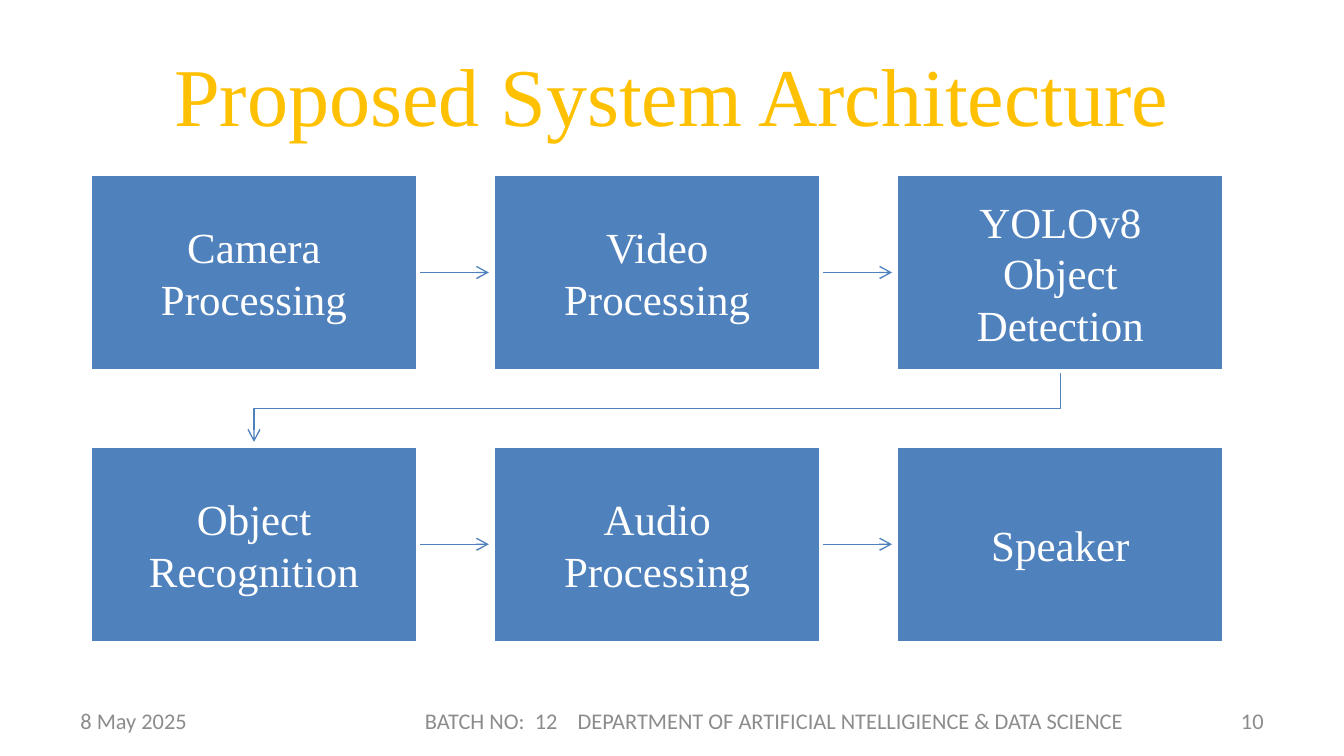
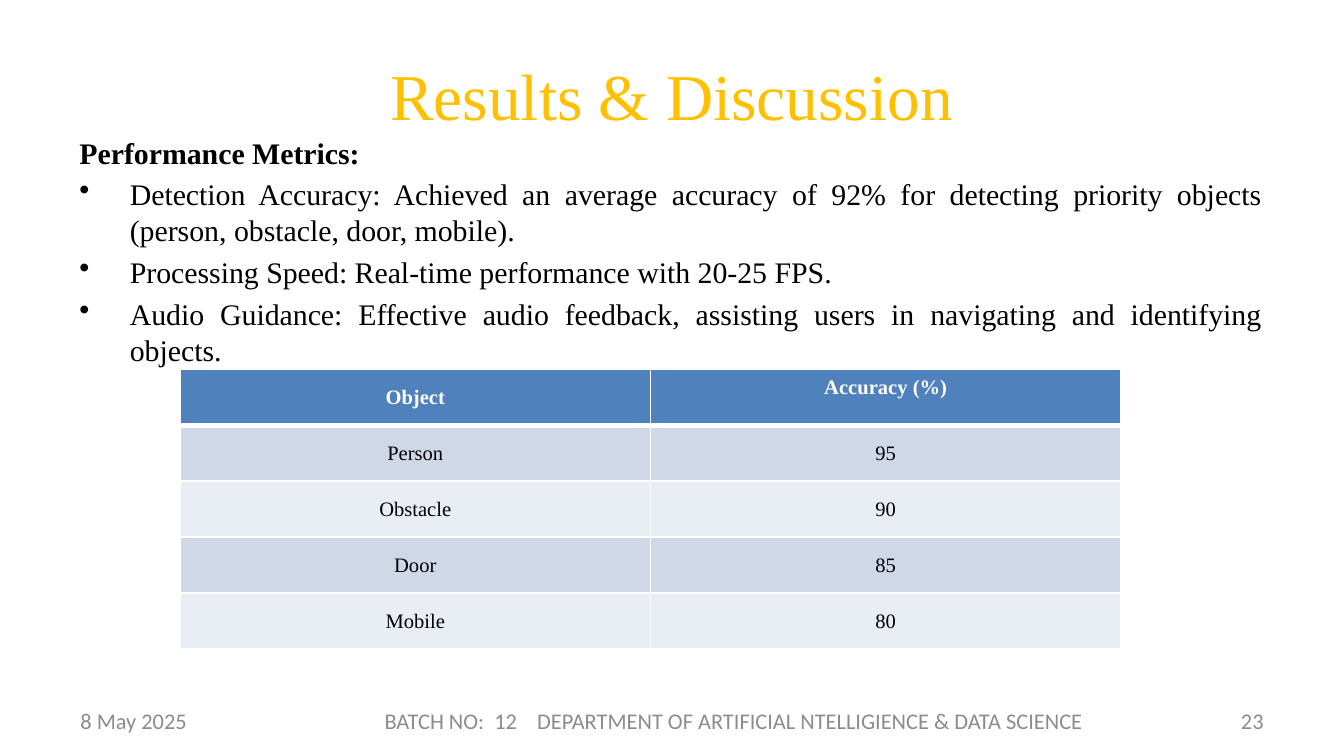
"""Builds two project slides: the system architecture flow and the results table."""
from lxml import etree
from pptx import Presentation
from pptx.dml.color import RGBColor
from pptx.enum.shapes import MSO_CONNECTOR, MSO_SHAPE
from pptx.enum.text import MSO_ANCHOR, PP_ALIGN
from pptx.oxml.ns import qn
from pptx.util import Pt

LEFT, CENTER, RIGHT, JUSTIFY = PP_ALIGN.LEFT, PP_ALIGN.CENTER, PP_ALIGN.RIGHT, PP_ALIGN.JUSTIFY
TOP, MIDDLE = MSO_ANCHOR.TOP, MSO_ANCHOR.MIDDLE
RECTANGLE, STRAIGHT = MSO_SHAPE.RECTANGLE, MSO_CONNECTOR.STRAIGHT

SERIF, SANS = "Times New Roman", "Calibri"
GOLD, BLUE, GRAY, WHITE, BLACK = "FFC000", "4F81BD", "8C8C8C", "FFFFFF", "000000"
BAND_DARK, BAND_LIGHT = "D0D8E8", "E9EDF4"
DEPARTMENT = "BATCH NO:  12    DEPARTMENT OF ARTIFICIAL NTELLIGIENCE & DATA SCIENCE "
color = RGBColor.from_string


def write(frame, texts, font, size, ink, align, anchor=MIDDLE, bold=False):
    """Fill a text frame with one uniformly styled paragraph per text."""
    frame.word_wrap = True
    frame.vertical_anchor = anchor
    for index, text in enumerate(texts):
        paragraph = frame.add_paragraph() if index else frame.paragraphs[0]
        paragraph.text = text
        paragraph.alignment = align
        paragraph.font.name = font
        paragraph.font.size = Pt(size)
        paragraph.font.bold = bold
        paragraph.font.color.rgb = color(ink)


def style_arrow(arrow):
    """Give a connector or open path a thin blue line with an arrowhead."""
    arrow.line.color.rgb = color(BLUE)
    arrow.line.width = Pt(0.75)
    properties = arrow._element.spPr
    etree.SubElement(properties.find(qn("a:ln")), qn("a:tailEnd"), type="arrow")
    etree.SubElement(properties, qn("a:effectLst"))


prs = Presentation()
prs.slide_width, prs.slide_height = Pt(720), Pt(405)

slides = []
for title, title_size, number, department_left, department_width in (
    ("Proposed System Architecture", 44, "10", 168.5, 495.4),
    ("Results & Discussion", 35, "23", 144.7, 499.7),
):
    slide = prs.slides.add_slide(prs.slide_layouts[6])
    slides.append(slide)
    for text, font, size, ink, align, left, top, width, height in (
        (title, SERIF, title_size, GOLD, CENTER, 36, 16.5, 648, 67.7),
        ("8 May 2025", SANS, 12, GRAY, LEFT, 36, 375.3, 168, 21.6),
        (DEPARTMENT, SANS, 12, GRAY, CENTER, department_left, 375.3, department_width, 21.6),
        (number, SANS, 12, GRAY, RIGHT, 516, 375.3, 168, 21.6),
    ):
        box = slide.shapes.add_textbox(Pt(left), Pt(top), Pt(width), Pt(height))
        write(box.text_frame, [text], font, size, ink, align)
architecture, results = slides

STEPS = (
    ("Camera Processing", "Video Processing", "YOLOv8 Object Detection"),
    ("Object Recognition", "Audio Processing", "Speaker"),
)
STEP_LEFT, STEP_TOP, STEP_WIDTH, STEP_HEIGHT = 48.3, 93.3, 175.6, 105.4
COLUMN_PITCH, ROW_PITCH, ARROW_LENGTH = 216, 145.6, 38

first_center = STEP_LEFT + STEP_WIDTH / 2
last_center = first_center + 2 * COLUMN_PITCH
row_bottom = STEP_TOP + STEP_HEIGHT
turn = row_bottom + 20.1
route = architecture.shapes.build_freeform(Pt(last_center), Pt(row_bottom))
route.add_line_segments(
    [
        (Pt(last_center), Pt(turn)),
        (Pt(first_center), Pt(turn)),
        (Pt(first_center), Pt(row_bottom + ARROW_LENGTH)),
    ],
    close=False,
)
row_link = route.convert_to_shape()
row_link.fill.background()
style_arrow(row_link)

for row, steps in enumerate(STEPS):
    for column, label in enumerate(steps):
        left = STEP_LEFT + column * COLUMN_PITCH
        top = STEP_TOP + row * ROW_PITCH
        if column < len(steps) - 1:
            start, middle = left + STEP_WIDTH, top + STEP_HEIGHT / 2
            style_arrow(architecture.shapes.add_connector(
                STRAIGHT, Pt(start), Pt(middle), Pt(start + ARROW_LENGTH), Pt(middle)))
        step = architecture.shapes.add_shape(
            RECTANGLE, Pt(left), Pt(top), Pt(STEP_WIDTH), Pt(STEP_HEIGHT))
        step.shadow.inherit = False
        step.fill.solid()
        step.fill.fore_color.rgb = color(BLUE)
        step.line.color.rgb = color(WHITE)
        step.line.width = Pt(2)
        frame = step.text_frame
        frame.margin_left = frame.margin_right = Pt(12.8)
        frame.margin_top = frame.margin_bottom = Pt(12.8)
        write(frame, [label], SERIF, 23, WHITE, CENTER)

METRICS = (
    "Performance Metrics: ",
    "Detection Accuracy: Achieved an average accuracy of 92% for detecting priority objects "
    "(person, obstacle, door, mobile).",
    "Processing Speed: Real-time performance with 20-25 FPS.",
    "Audio Guidance: Effective audio feedback, assisting users in navigating and identifying objects.",
)
metrics = results.shapes.add_textbox(Pt(35.5), Pt(68.4), Pt(648), Pt(268.6)).text_frame
write(metrics, METRICS, SERIF, 16, BLACK, JUSTIFY, TOP)
heading, *findings = metrics.paragraphs
heading.font.bold = True
for finding in findings:
    finding.space_before = Pt(3.2)
    properties = finding._p.get_or_add_pPr()
    properties.set("marL", str(Pt(27)))
    properties.set("indent", str(-Pt(27)))
    bullet = etree.Element(qn("a:buChar"), char="•")
    properties.find(qn("a:defRPr")).addprevious(bullet)

ACCURACY = (
    ("Object", "Accuracy (%)"),
    ("Person", "95"),
    ("Obstacle", "90"),
    ("Door", "85"),
    ("Mobile", "80"),
)
accuracy = results.shapes.add_table(
    len(ACCURACY), 2, Pt(96.5), Pt(197.8), Pt(504), Pt(150)).table
for row, values in enumerate(ACCURACY):
    accuracy.rows[row].height = Pt(30)
    for column, value in enumerate(values):
        cell = accuracy.cell(row, column)
        header = row == 0
        for side in ("lnL", "lnR", "lnT", "lnB"):
            thick = (header and side == "lnB") or (row == 1 and side == "lnT")
            border = etree.SubElement(
                cell._tc.get_or_add_tcPr(), qn(f"a:{side}"), w=str(Pt(3 if thick else 1)))
            paint = etree.SubElement(border, qn("a:solidFill"))
            etree.SubElement(paint, qn("a:srgbClr"), val=WHITE)
        cell.fill.solid()
        cell.fill.fore_color.rgb = color(
            BLUE if header else BAND_DARK if row % 2 else BAND_LIGHT)
        write(cell.text_frame, [value], SERIF, 11, WHITE if header else BLACK, CENTER, bold=header)
        if header and column == 1:
            cell.vertical_anchor = TOP
        else:
            cell.vertical_anchor = MIDDLE
            cell.margin_left = cell.margin_right = cell.margin_top = cell.margin_bottom = 0

prs.save("out.pptx")
